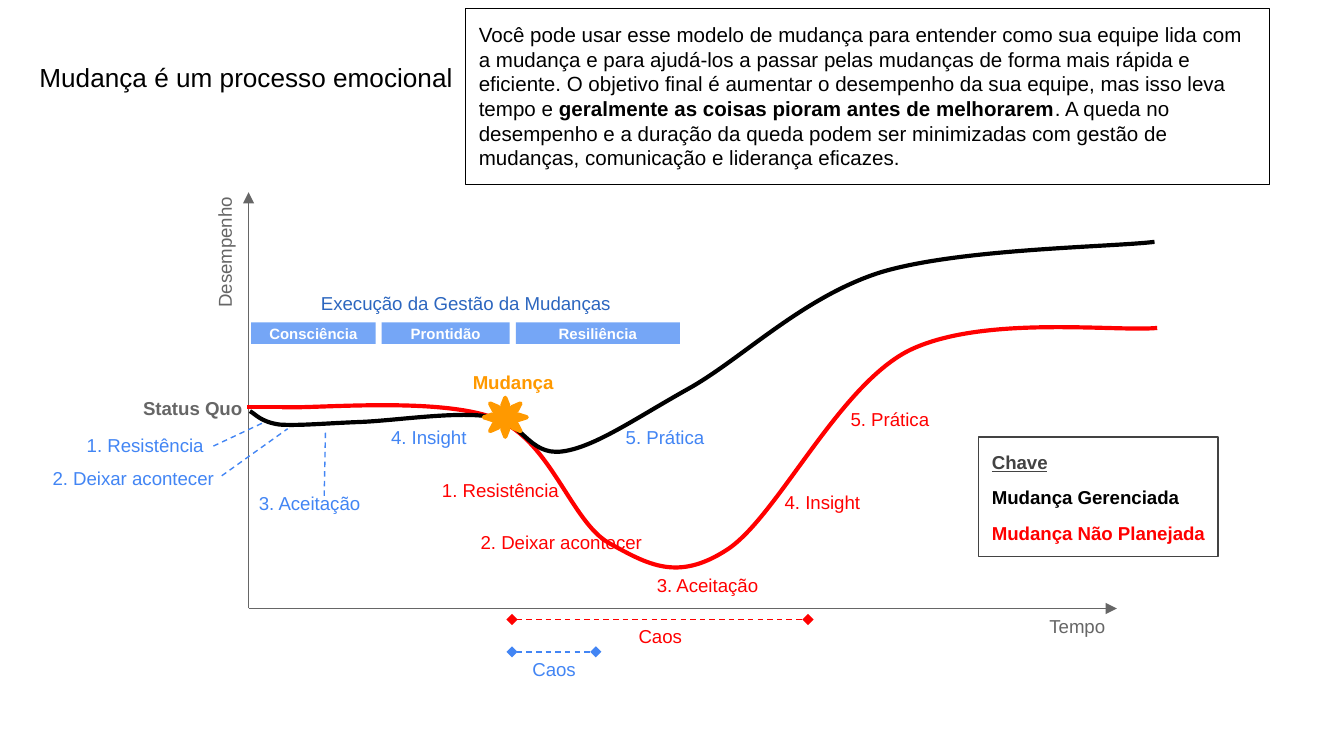
"""Build a slide on change as an emotional process, with two performance curves."""
from lxml.etree import SubElement as Sub
from pptx import Presentation
from pptx.dml.color import RGBColor as RGB
from pptx.enum.dml import MSO_LINE
from pptx.enum.shapes import MSO_CONNECTOR as Conn, MSO_SHAPE as Shape
from pptx.enum.text import MSO_ANCHOR as Anchor, PP_ALIGN as Align
from pptx.oxml.ns import qn
from pptx.util import Pt

INK = {"black": "000000", "red": "FF0000", "blue": "4285F4", "navy": "2C66BF",
       "gray": "666666", "dark": "434343", "gold": "FF9900", "white": "FFFFFF"}

RED = [(151.2, 218.2), (170.6, 218.9), (236.9, 212.4), (266.4, 224.6),
       (295.2, 236.9), (306, 279.4), (326.2, 290.9),
       (347, 302.4), (362.9, 311.8), (389.5, 294.5),
       (416.2, 277.2), (448.6, 207.4), (486.7, 187.9),
       (525.6, 168.5), (597.6, 177.8), (619.9, 175.7)]
BLACK = [(133.9, 220.3), (136.8, 221.8), (139.7, 226.1), (149.8, 227.5),
         (159.8, 228.2), (174.2, 226.8), (193, 226.1),
         (211.7, 225.4), (244.1, 220.3), (262.1, 223.2),
         (280.1, 225.4), (283, 244.1), (301, 241.9),
         (318.2, 239.8), (339.8, 224.6), (367.9, 208.8),
         (396.7, 193), (429.1, 159.8), (470.9, 146.2),
         (512.6, 133.2), (594, 132.5), (618.5, 129.6)]


def tint(name):
    """Return the named colour."""
    return RGB.from_string(INK[name])


def style(font, size, hue, bold=False):
    """Set the size, colour and weight of a font."""
    font.name, font.size, font.bold = "Arial", Pt(size), bold
    font.color.rgb = tint(hue)


def frame(shape, pad=(7.2, 7.2, 7.2, 7.2), mid=False):
    """Set insets, wrap and anchor, and return the text frame."""
    text = shape.text_frame
    text.word_wrap = True
    text.margin_left, text.margin_top, text.margin_right, text.margin_bottom = map(Pt, pad)
    text.vertical_anchor = Anchor.MIDDLE if mid else Anchor.TOP
    return text


def label(slide, words, box, hue, size=10, bold=False, mid=False,
          align=Align.LEFT, indent=0, pad=None):
    """Add a one-paragraph text box."""
    shape = slide.shapes.add_textbox(*map(Pt, box))
    pad = pad or (7.2, 7.2 if mid else 8.2, 7.2, 7.2)
    para = frame(shape, pad, mid).paragraphs[0]
    para.text, para.alignment = words, align
    style(para.font, size, hue, bold)
    if indent:
        para._p.get_or_add_pPr().set("indent", str(Pt(indent)))
    return shape


def block(slide, kind, box, fill=None, line=None, width=0.75):
    """Add a preset shape with an optional fill and outline."""
    shape = slide.shapes.add_shape(kind, *map(Pt, box))
    shape.shadow.inherit = False
    if fill:
        shape.fill.solid()
        shape.fill.fore_color.rgb = tint(fill)
    else:
        shape.fill.background()
    if line:
        shape.line.color.rgb, shape.line.width = tint(line), Pt(width)
    else:
        shape.line.fill.background()
    return shape


def phase(slide, words, left, width):
    """Add a translucent bar that names one phase."""
    bar = block(slide, Shape.RECTANGLE, (left, 172.8, width, 11.5), "blue")
    Sub(bar._element.spPr.find(".//" + qn("a:srgbClr")), qn("a:alpha"), val="73000")
    para = frame(bar, mid=True).paragraphs[0]
    para.text, para.alignment = words, Align.CENTER
    style(para.font, 8, "white", True)


def rule(slide, ends, hue, width=0.75, dash=False, head=None, tail=None):
    """Add a straight line with optional dashes and arrowheads."""
    line = slide.shapes.add_connector(Conn.STRAIGHT, *map(Pt, ends))
    line.line.color.rgb, line.line.width = tint(hue), Pt(width)
    if dash:
        line.line.dash_style = MSO_LINE.DASH
    for tag, kind in (("a:headEnd", head), ("a:tailEnd", tail)):
        if kind:
            Sub(line.line._get_or_add_ln(), qn(tag), type=kind)
    Sub(line._element.spPr, qn("a:effectLst"))


def curve(slide, knots, box, hue):
    """Draw a chain of cubic Bezier segments as one open outline."""
    pen = slide.shapes.build_freeform(*map(Pt, knots[0]))
    pen.add_line_segments([tuple(map(Pt, knot)) for knot in knots[3::3]], close=False)
    shape = pen.convert_to_shape()
    shape.left, shape.top, shape.width, shape.height = map(Pt, box)
    trace = shape._element.spPr.find(".//" + qn("a:path"))
    trace.set("w", str(Pt(box[2])))
    trace.set("h", str(Pt(box[3])))
    for part in list(trace):
        trace.remove(part)
    for num, (x, y) in enumerate(knots):
        if num % 3 == 1 or not num:
            part = Sub(trace, qn("a:cubicBezTo" if num else "a:moveTo"))
        Sub(part, qn("a:pt"), x=str(Pt(x - box[0])), y=str(Pt(y - box[1])))
    shape.shadow.inherit = False
    shape.fill.background()
    shape.line.color.rgb, shape.line.width = tint(hue), Pt(2.25)


def legend(slide):
    """Add the key to the two curves."""
    box = block(slide, Shape.RECTANGLE, (524.3, 234.1, 128.3, 64.1), line="dark")
    text = frame(box, (7.2, 7.2, 0, 7.2))
    rows = (("Chave", "dark"), ("Mudança Gerenciada", "black"),
            ("Mudança Não Planejada", "red"))
    for num, (words, hue) in enumerate(rows):
        para = text.add_paragraph() if num else text.paragraphs[0]
        para.text, para.alignment = words, Align.LEFT
        para.space_before = Pt(7.2 if num else 0)
        style(para.font, 10, hue, True)
        para.font.underline = num == 0


def intro(slide):
    """Add the framed explanation with its bold phrase."""
    box = block(slide, Shape.RECTANGLE, (249.4, 4.6, 430.6, 94.4), line="black")
    para = frame(box).paragraphs[0]
    para.alignment = Align.LEFT
    for words, bold in (
            ("Você pode usar esse modelo de mudança para entender como sua equipe lida "
             "com a mudança e para ajudá-los a passar pelas mudanças de forma mais rápida "
             "e eficiente. O objetivo final é aumentar o desempenho da sua equipe, mas "
             "isso leva tempo e ", False),
            ("geralmente as coisas pioram antes de melhorarem", True),
            (". A queda no desempenho e a duração da queda podem ser minimizadas com "
             "gestão de mudanças, comunicação e liderança eficazes.", False)):
        run = para.add_run()
        run.text = words
        style(run.font, 11, "black", bold)


def main():
    """Build and save the slide."""
    deck = Presentation()
    deck.slide_width, deck.slide_height = Pt(720), Pt(405)
    slide = deck.slides.add_slide(deck.slide_layouts[6])

    curve(slide, RED, (151.2, 175, 468.7, 128.9), "red")
    curve(slide, BLACK, (133.9, 129.6, 484.6, 112.3), "black")
    for end in ((133.2, 103), (598.3, 326)):
        rule(slide, (133.2, 326, *end), "gray", tail="triangle")
    label(slide, "Status Quo", (49, 205.9, 87.8, 32.4), "gray", bold=True, align=Align.RIGHT)
    label(slide, "Desempenho", (75.9, 106.4, 97.2, 33.8), "gray").rotation = 270
    label(slide, "Tempo", (555.1, 322.6, 60.5, 32.4), "gray")
    label(slide, "Mudança", (246.2, 199.4, 64.1, 10.1), "gold", bold=True, mid=True)

    for words, left, top in (("1. Resistência", 229.7, 249.8),
                             ("2. Deixar acontecer", 250.4, 277.9),
                             ("4. Insight", 413.3, 256.3),
                             ("3. Aceitação", 344.8, 301),
                             ("5. Prática", 448.6, 211.7)):
        label(slide, words, (left, top, 103, 32.4), "red")
    rule(slide, (170.6, 218.2, 132.5, 218.2), "red", 2.25)
    for hue, end, y, left, width in (("red", 432.9, 331.9, 302.2, 103),
                                     ("blue", 319.2, 349.2, 262.6, 68.4)):
        rule(slide, (274.3, y, end, y), hue, dash=True, head="diamond", tail="diamond")
        label(slide, "Caos", (left, y + 2.2, width, 13.7), hue, mid=True, align=Align.CENTER)

    for words, box, indent in (("1. Resistência", (39.4, 231.8, 84.2, 13.7), 0),
                               ("3. Aceitação", (113.6, 259.9, 115.9, 18.7), 18),
                               ("2. Deixar acontecer", (21.1, 248.8, 105.1, 15.1), 0),
                               ("4. Insight", (184.4, 224.6, 115.9, 18.7), 18),
                               ("5. Prática", (310.1, 224.6, 115.9, 18.7), 18)):
        label(slide, words, box, "blue", mid=True, indent=indent)
    for ends in ((114.3, 239, 141.8, 226.1), (118.8, 254.9, 154.1, 229.7),
                 (173.7, 265.7, 174.4, 229.7)):
        rule(slide, ends, "blue", dash=True)

    for words, left, width in (("Consciência", 134.6, 66.7), ("Prontidão", 204.5, 68.5),
                               ("Resiliência", 276.4, 87.8)):
        phase(slide, words, left, width)
    label(slide, "Execução da Gestão da Mudanças", (134.6, 155.5, 229.7, 13.7),
          "navy", mid=True, align=Align.CENTER)
    block(slide, Shape.SUN, (259.2, 213.1, 23, 20.9), "gold", "gold", 2.25)
    legend(slide)
    title = label(slide, "Mudança é um processo emocional", (21.1, 32.4, 677.5, 32.4),
                  "black", 14, pad=(0, 3.6, 0, 0))
    title.text_frame.paragraphs[0].line_spacing = 0.8
    intro(slide)
    deck.save("out.pptx")


if __name__ == "__main__":
    main()
